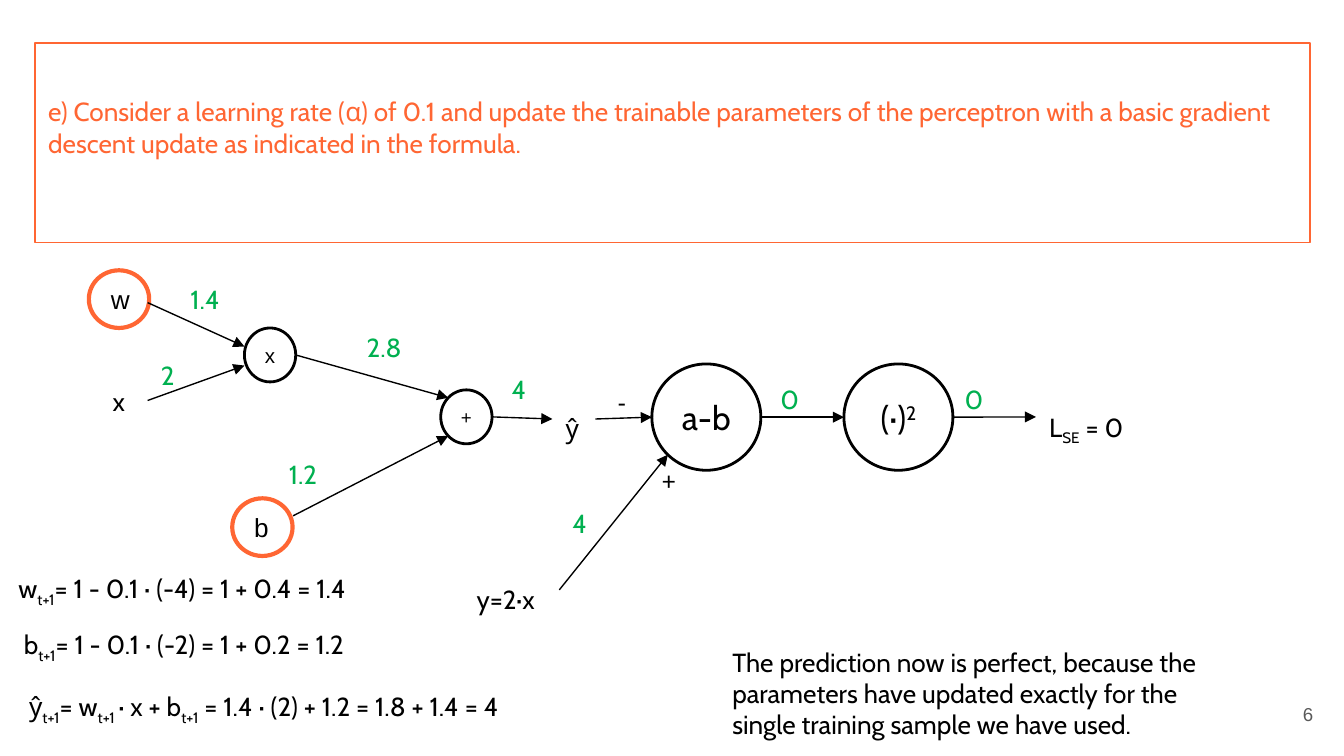
from math import cos, radians, sin

from pptx import Presentation
from pptx.dml.color import RGBColor
from pptx.enum.shapes import MSO_CONNECTOR, MSO_SHAPE
from pptx.enum.text import MSO_ANCHOR, MSO_AUTO_SIZE, PP_ALIGN
from pptx.oxml.xmlchemy import OxmlElement
from pptx.util import Cm, Pt

LEFT, CENTER, RIGHT = PP_ALIGN.LEFT, PP_ALIGN.CENTER, PP_ALIGN.RIGHT
TOP, MIDDLE = MSO_ANCHOR.TOP, MSO_ANCHOR.MIDDLE
NO_FIT = MSO_AUTO_SIZE.NONE
STRAIGHT, OVAL, TITLE_ONLY = MSO_CONNECTOR.STRAIGHT, MSO_SHAPE.OVAL, 5

THEME = {
    "accent": "FF6633", "ink": "000000", "value": "00B050", "muted": "595959",
    "font": "Cabin", "plain": "Arial", "sign": "Calibri",
    "body": 14, "large": 18, "small": 11, "tiny": 10,
    "thin": 0.75, "medium": 1.5, "thick": 2.25, "inset": 0.25,
}

QUESTION = ("e) Consider a learning rate (α) of 0.1 and update the trainable parameters of the "
            "perceptron with a basic gradient descent update as indicated in the formula.")
QUESTION_BOX = (0.66, 0.81, 24.1, 3.78)

PARAMETER = dict(line="accent", width="thick", font="plain")
OPERATOR = dict(line="ink", width="medium", font="plain", align=CENTER, inset_y=0.13, wrap=False)
FUNCTION = dict(OPERATOR, font="font", size="large")
NODES = {
    "times": ("x", (4.62, 6.2, 0.97, 1.02), dict(OPERATOR, size="small")),
    "plus": ("+", (8.33, 7.37, 0.97, 1.02), dict(OPERATOR, size="tiny")),
    "weight": ("w", (1.68, 5.11, 1.14, 1.09), PARAMETER),
    "bias": ("b", (4.39, 9.42, 1.14, 1.09), PARAMETER),
    "difference": ("a-b", (12.32, 6.88, 2.06, 2.01), FUNCTION),
    "square": ("(·)|2|", (15.95, 6.88, 2.06, 2.01), dict(FUNCTION, shift=30)),
}
ANGLES = {"right": 0, "lower left": 135, "left": 180, "upper left": 225}
ARROWS = [
    ((2.79, 5.72), (4.62, 6.55)),
    ((2.79, 7.57), (4.62, 6.91)),
    (("times", "right"), ("plus", "upper left")),
    ((5.54, 9.75), ("plus", "lower left")),
    (("plus", "right"), (10.44, 7.92)),
    ((11.25, 7.92), ("difference", "left")),
    (("difference", "right"), ("square", "left")),
    (("square", "right"), (19.58, 7.88)),
    ((10.57, 11.15), ("difference", "lower left")),
]

TEXTS = [
    ("w|t+1|= 1 - 0.1 · (-4) = 1 + 0.4 = 1.4", (0.1, 10.57, 7.49, 1.4)),
    ("b|t+1|= 1 - 0.1 · (-2) = 1 + 0.2 = 1.2", (0.2, 11.63, 7.49, 1.4)),
    ("ŷ|t+1|= w|t+1 |· x + b|t+1| = 1.4 · (2) + 1.2 = 1.8 + 1.4 = 4", (0.3, 12.8, 11.79, 1.4)),
    ("The prediction now is perfect, because the parameters have updated exactly for the "
     "single training sample we have used.", (13.59, 11.96, 9.68, 2.18)),
    ("x", (1.88, 7.04, 1.14, 0.74)),
    ("ŷ", (10.44, 7.54, 0.81, 0.74)),
    ("y=2·x", (8.76, 10.77, 1.8, 0.74)),
    ("L|SE| = 0", (19.58, 7.52, 5.21, 0.74)),
]
VALUES = [
    ("4", 9.42, 6.81), ("2.8", 6.68, 6.02), ("1.4", 3.35, 5.11), ("2", 2.79, 6.55),
    ("1.2", 5.21, 8.41), ("0", 17.98, 6.99), ("4", 10.57, 9.35), ("0", 14.5, 6.99),
]
SIGNS = [("+", 12.27, 8.53), ("-", 11.43, 7.06)]
PAGE = ("6", (23.55, 12.95, 1.52, 1.09))


def color(name):
    return RGBColor.from_string(THEME[name])


def write(s, text, font="font", size="body", ink="ink", align=LEFT, anchor=TOP,
          inset_y=THEME["inset"], bottom=None, wrap=True, shift=-25):
    """Fill a shape with text in which pieces between bars are raised or lowered."""
    tf = s.text_frame
    tf.auto_size, tf.word_wrap, tf.vertical_anchor = NO_FIT, wrap, anchor
    tf.margin_left = tf.margin_right = Cm(THEME["inset"])
    tf.margin_top, tf.margin_bottom = Cm(inset_y), Cm(bottom or inset_y)
    p = tf.paragraphs[0]
    p.alignment = align
    for i, piece in enumerate(text.split("|")):
        if not piece:
            continue
        r = p.add_run()
        r.text = piece
        r.font.name, r.font.size = THEME[font], Pt(THEME[size])
        r.font.color.rgb = color(ink)
        if i % 2:
            r.font._element.set("baseline", str(shift * 1000))


def outline(s, line, width):
    s.line.color.rgb, s.line.width = color(line), Pt(THEME[width])


def add_question(slide):
    s = slide.shapes.title
    s.left, s.top, s.width, s.height = map(Cm, QUESTION_BOX)
    geometry = OxmlElement("a:prstGeom")
    geometry.set("prst", "roundRect")
    geometry.append(OxmlElement("a:avLst"))
    s._element.spPr.insert(1, geometry)
    outline(s, "accent", "thin")
    write(s, QUESTION, ink="accent", anchor=MIDDLE, bottom=0.84)


def add_text(slide, text, box, **style):
    write(slide.shapes.add_textbox(*map(Cm, box)), text, **style)


def add_node(slide, text, box, style):
    s = slide.shapes.add_shape(OVAL, *map(Cm, box))
    s.shadow.inherit = False
    s.fill.background()
    style = dict(style)
    outline(s, style.pop("line"), style.pop("width"))
    write(s, text, anchor=MIDDLE, **style)


def locate(end):
    if end[0] not in NODES:
        return end
    node, side = end
    x, y, w, h = NODES[node][1]
    a = radians(ANGLES[side])
    return x + w / 2 * (1 + cos(a)), y + h / 2 * (1 + sin(a))


def add_arrow(slide, start, end):
    s = slide.shapes.add_connector(STRAIGHT, *map(Cm, locate(start) + locate(end)))
    outline(s, "ink", "thin")
    head = OxmlElement("a:tailEnd")
    head.set("type", "triangle")
    s.line._get_or_add_ln().append(head)
    s._element.spPr.append(OxmlElement("a:effectLst"))


def main():
    prs = Presentation()
    prs.slide_width, prs.slide_height = Cm(25.4), Cm(14.29)
    slide = prs.slides.add_slide(prs.slide_layouts[TITLE_ONLY])
    add_question(slide)
    for node in NODES.values():
        add_node(slide, *node)
    for arrow in ARROWS:
        add_arrow(slide, *arrow)
    for text, box in TEXTS:
        add_text(slide, text, box)
    for text, x, y in VALUES:
        add_text(slide, text, (x, y, 0.97 if len(text) == 1 else 1.52, 0.79), ink="value")
    for text, x, y in SIGNS:
        add_text(slide, text, (x, y, 0.66, 1.12), font="sign")
    add_text(slide, *PAGE, font="plain", size="tiny", ink="muted", align=RIGHT, anchor=MIDDLE)
    prs.save("out.pptx")


if __name__ == "__main__":
    main()
